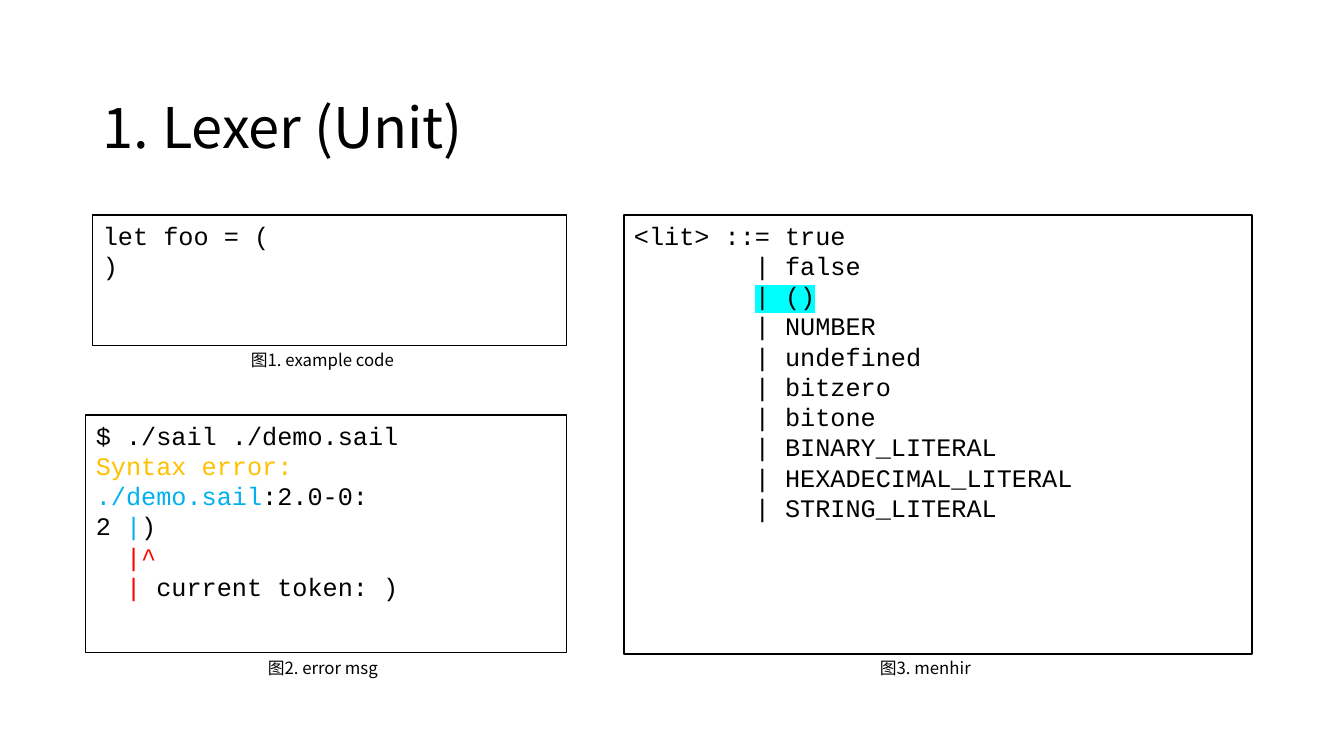
from lxml.etree import SubElement
from pptx import Presentation
from pptx.dml.color import RGBColor
from pptx.enum.shapes import MSO_SHAPE
from pptx.enum.text import MSO_ANCHOR, MSO_AUTO_SIZE, PP_ALIGN
from pptx.oxml.ns import qn
from pptx.util import Pt

PX = 914400 / 100.8
COLORS = {"ink": "000000", "warn": "FFC000", "info": "00B0F0",
          "error": "FF0000", "mark": "00FFFF"}
CODE, SANS = "Courier New", "Noto Sans CJK SC"

TITLE = ("1. Lexer (Unit)", (93, 57, 1159, 146))
INDENT = "        "
TOKENS = ["false", "()", "NUMBER", "undefined", "bitzero", "bitone",
          "BINARY_LITERAL", "HEXADECIMAL_LITERAL", "STRING_LITERAL"]
MARKED = "()"
GRAMMAR = [[("<lit> ::= true", "ink")]] + [
    [(INDENT, "ink"), (f"| {token}", "mark" if token == MARKED else "ink")]
    for token in TOKENS]
EXAMPLE = [[("let foo = (", "ink")], [(")", "ink")]]
ERROR = [
    [("$ ./sail ./demo.sail", "ink")],
    [("Syntax error:", "warn")],
    [("./demo.sail", "info"), (":2.0-0:", "ink")],
    [("2 ", "ink"), ("|", "info"), (")", "ink")],
    [("  ", "ink"), ("|^", "error")],
    [("  ", "ink"), ("|", "error"), (" current token: )", "ink")],
]
PANELS = [
    (GRAMMAR, (624, 215, 628, 439), 1),
    (EXAMPLE, (93, 215, 474, 131), 0.75),
    (ERROR, (86, 415, 481, 238), 0.75),
]
CAPTIONS = [
    ("图1. example code", (241, 345, 170, 30), False),
    ("图2. error msg", (258, 653, 135, 30), False),
    ("图3. menhir", (870, 653, 112, 30), True),
]


def emu(box):
    return [round(v * PX) for v in box]


def rgb(name):
    return RGBColor.from_string(COLORS[name])


def style(r, font, size, color="ink"):
    marked = color == "mark"
    r.font.size = Pt(size)
    r.font.color.rgb = rgb("ink" if marked else color)
    rPr = r.font._element
    if marked:
        highlight = SubElement(rPr, qn("a:highlight"))
        SubElement(highlight, qn("a:srgbClr"), val=COLORS["mark"])
    r.font.name = font
    SubElement(rPr, qn("a:ea"), typeface=font)


def add_label(slide, text, box, size, wrap):
    tf = slide.shapes.add_textbox(*emu(box)).text_frame
    tf.text = text
    tf.word_wrap = wrap
    style(tf.paragraphs[0].runs[0], SANS, size)
    return tf


def add_panel(slide, lines, box, width):
    sp = slide.shapes.add_shape(MSO_SHAPE.RECTANGLE, *emu(box))
    sp.shadow.inherit = False
    sp.fill.background()
    sp.line.color.rgb = rgb("ink")
    sp.line.width = Pt(width)
    tf = sp.text_frame
    tf.word_wrap = True
    tf.vertical_anchor = MSO_ANCHOR.TOP
    for i, line in enumerate(lines):
        p = tf.add_paragraph() if i else tf.paragraphs[0]
        p.alignment = PP_ALIGN.LEFT
        for text, color in line:
            r = p.add_run()
            r.text = text
            style(r, CODE, 18, color)


def main():
    prs = Presentation()
    prs.slide_width, prs.slide_height = emu((1344, 756))
    slide = prs.slides.add_slide(prs.slide_layouts[6])
    text, box = TITLE
    tf = add_label(slide, text, box, 40, True)
    tf.vertical_anchor = MSO_ANCHOR.MIDDLE
    tf.paragraphs[0].line_spacing = 0.9
    for lines, box, width in PANELS:
        add_panel(slide, lines, box, width)
    for text, box, wrap in CAPTIONS:
        tf = add_label(slide, text, box, 12, wrap)
        tf.auto_size = MSO_AUTO_SIZE.SHAPE_TO_FIT_TEXT
    prs.save("out.pptx")


if __name__ == "__main__":
    main()
